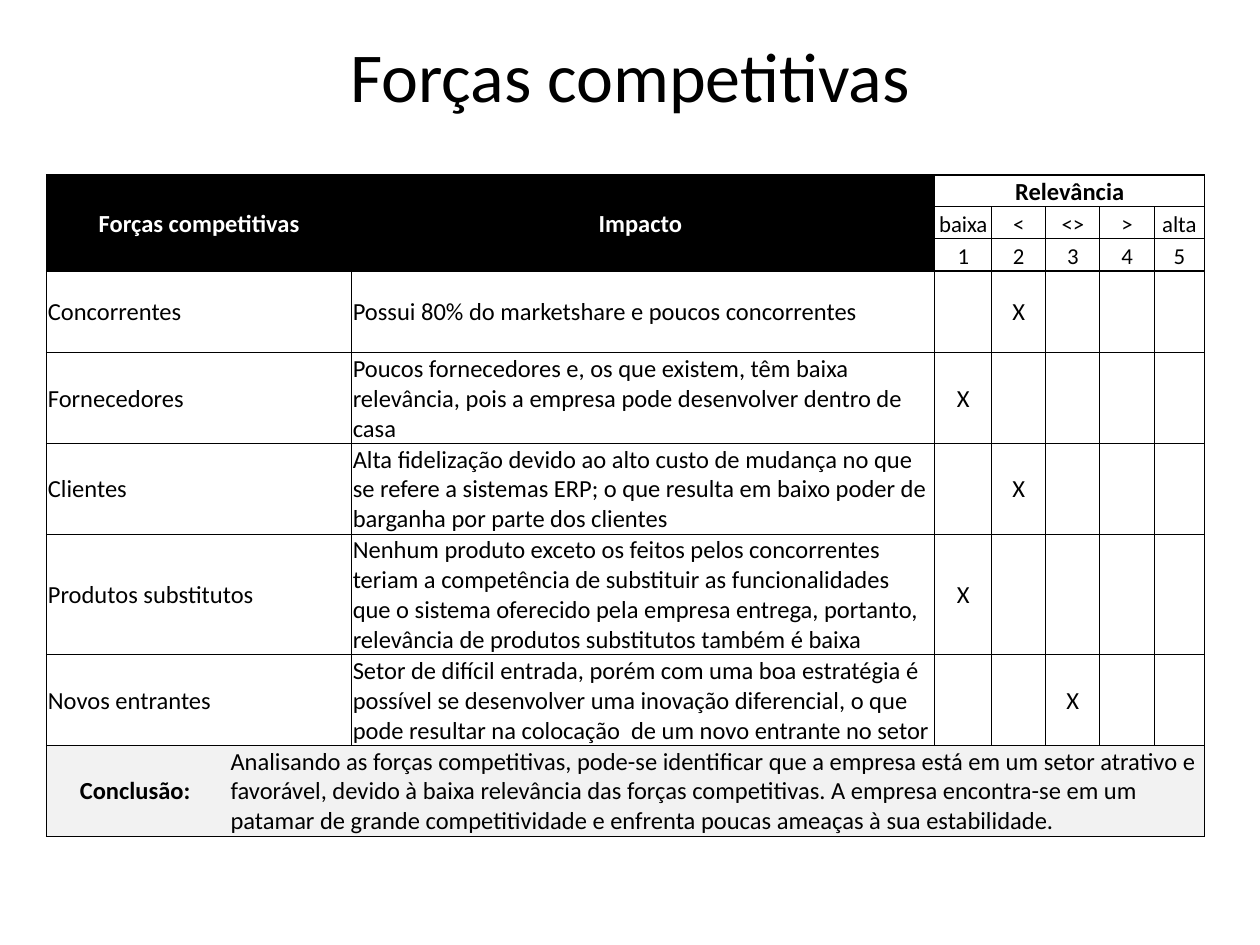
import dataclasses

import pptx
import pptx.dml.color
import pptx.enum.text
import pptx.oxml
import pptx.oxml.ns
import pptx.table
import pptx.util

Inches = pptx.util.Inches
Pt = pptx.util.Pt
ALIGN = pptx.enum.text.PP_ALIGN
ANCHOR = pptx.enum.text.MSO_ANCHOR
HUES = {"ink": "000000", "paper": "FFFFFF", "pale": "F2F2F2"}
FONT = "Calibri"
COLS = [1.45, 0.97, 4.63, 0.45, 0.43, 0.43, 0.43, 0.4]
ROWS = [0.25, 0.25, 0.26, 0.65, 0.71, 0.71, 0.94, 0.71, 0.71]
THICK_ROWS = {0, 3, 8, 9}  # row lines drawn heavier
END = len(ROWS) - 1


@dataclasses.dataclass
class Box:
    row: int
    col: int
    text: str = ""
    high: int = 1
    wide: int = 1
    fill: str = ""
    ink: str = "ink"
    size: int = 14
    bold: bool = False
    left: bool = False
    low: bool = False


@dataclasses.dataclass
class Force:
    name: str
    impact: str
    mark: int


FORCES = [
    Force("Concorrentes", "Possui 80% do marketshare e poucos concorrentes", 2),
    Force("Fornecedores",
          "Poucos fornecedores e, os que existem, têm baixa relevância, pois a "
          "empresa pode desenvolver dentro de casa", 1),
    Force("Clientes",
          "Alta fidelização devido ao alto custo de mudança no que se refere a "
          "sistemas ERP; o que resulta em baixo poder de barganha por parte dos "
          "clientes", 2),
    Force("Produtos substitutos",
          "Nenhum produto exceto os feitos pelos concorrentes teriam a "
          "competência de substituir as funcionalidades que o sistema oferecido "
          "pela empresa entrega, portanto, relevância de produtos substitutos "
          "também é baixa", 1),
    Force("Novos entrantes",
          "Setor de difícil entrada, porém com uma boa estratégia é possível se "
          "desenvolver uma inovação diferencial, o que pode resultar na "
          "colocação  de um novo entrante no setor", 3),
]
CLOSE = ("Analisando as forças competitivas, pode-se identificar que a empresa "
         "está em um setor atrativo e favorável, devido à baixa relevância das "
         "forças competitivas. A empresa encontra-se em um patamar de grande "
         "competitividade e enfrenta poucas ameaças à sua estabilidade.")


def rgb(name: str) -> pptx.dml.color.RGBColor:
    return pptx.dml.color.RGBColor.from_string(HUES[name])


def draw_edge(cell: pptx.table._Cell, side: str, width: float) -> None:
    """Add one cell border; a width of zero hides it."""
    paint = (f'<a:solidFill><a:srgbClr val="{HUES["ink"]}"/></a:solidFill>'
             if width else "<a:noFill/>")
    props = cell._tc.get_or_add_tcPr()
    props.append(pptx.oxml.parse_xml(
        f'<a:ln{side} {pptx.oxml.ns.nsdecls("a")} w="{Pt(width)}">{paint}</a:ln{side}>'))


def draw_box(table: pptx.table.Table, box: Box) -> None:
    last_row, last_col = box.row + box.high - 1, box.col + box.wide - 1
    head = table.cell(box.row, box.col)
    if box.high * box.wide > 1:
        head.merge(table.cell(last_row, last_col))
    head.text = box.text
    for row in range(box.row, last_row + 1):
        for col in range(box.col, last_col + 1):
            cell = table.cell(row, col)
            cell.margin_left = cell.margin_right = cell.margin_top = Inches(0.01)
            cell.margin_bottom = 0
            cell.vertical_anchor = ANCHOR.BOTTOM if box.low else ANCHOR.MIDDLE
            para = cell.text_frame.paragraphs[0]
            para.alignment = ALIGN.LEFT if box.left else ALIGN.CENTER
            para.font.name, para.font.size = FONT, Pt(box.size)
            para.font.bold = box.bold
            para.font.color.rgb = rgb(box.ink)
            # Borders come before the fill
            main = cell is head or (row, col) == (box.row, box.col)
            edges = [
                ("L", box.col, col == box.col, box.col == 0),
                ("R", last_col + 1, main or col == last_col, last_col + 1 == len(COLS)),
                ("T", box.row, row == box.row, box.row in THICK_ROWS),
                ("B", last_row + 1, main or row == last_row, last_row + 1 in THICK_ROWS),
            ]
            for side, line, shown, thick in edges:
                seam = box.row == END and side in "LR" and line == 1
                draw_edge(cell, side, (1 if thick else 0.75) if shown and not seam else 0)
            if box.fill:
                cell.fill.solid()
                cell.fill.fore_color.rgb = rgb(box.fill)
            else:
                cell.fill.background()


deck = pptx.Presentation()
deck.slide_width, deck.slide_height = Inches(10), Inches(7.5)
slide = deck.slides.add_slide(deck.slide_layouts[5])

# Title
title = slide.shapes.title
title.left, title.top = Inches(0.5), Inches(-0.03)
title.width, title.height = Inches(9), Inches(1.25)
title.text_frame.text = "Forças competitivas"
title.text_frame.vertical_anchor = ANCHOR.MIDDLE
para = title.text_frame.paragraphs[0]
para.alignment = ALIGN.CENTER
para.font.name, para.font.size = FONT, Pt(40)
para.font.color.rgb = rgb("ink")

# Table grid
table = slide.shapes.add_table(
    len(ROWS), len(COLS), Inches(0.37), Inches(1.39),
    Inches(sum(COLS)), Inches(sum(ROWS))).table
table.first_row = table.horz_banding = False
for col, width in zip(table.columns, COLS):
    col.width = Inches(width)
for row, height in zip(table.rows, ROWS):
    row.height = Inches(height)

# Header
boxes = [
    Box(0, 0, "Forças competitivas", 3, 2, "ink", "paper", bold=True),
    Box(0, 2, "Impacto ", 3, 1, "ink", "paper", bold=True),
    Box(0, 3, "Relevância", 1, 5, bold=True, low=True),
]
for rank, label in enumerate(["baixa", "<", "<>", ">", "alta"], 1):
    boxes += [Box(1, rank + 2, label, size=13, low=True),
              Box(2, rank + 2, str(rank), size=13, low=True)]

# Forces and their marks
for row, force in enumerate(FORCES, 3):
    boxes += [Box(row, 0, force.name, wide=2, left=True),
              Box(row, 2, force.impact, left=True)]
    boxes += [Box(row, rank + 2, "X" if rank == force.mark else "")
              for rank in range(1, 6)]

# Closing row
boxes += [Box(END, 0, "Conclusão: ", fill="pale", bold=True),
          Box(END, 1, CLOSE, wide=7, fill="pale", left=True)]
for box in boxes:
    draw_box(table, box)

deck.save("out.pptx")
